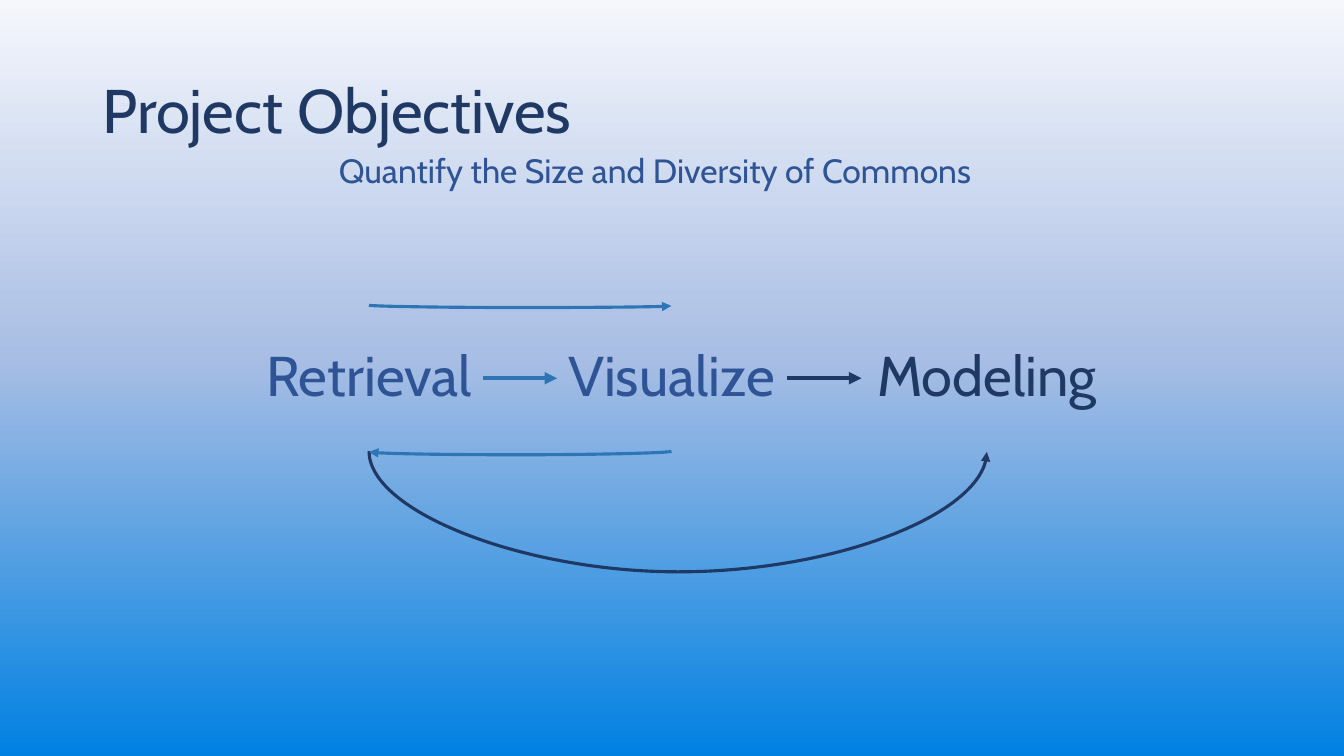
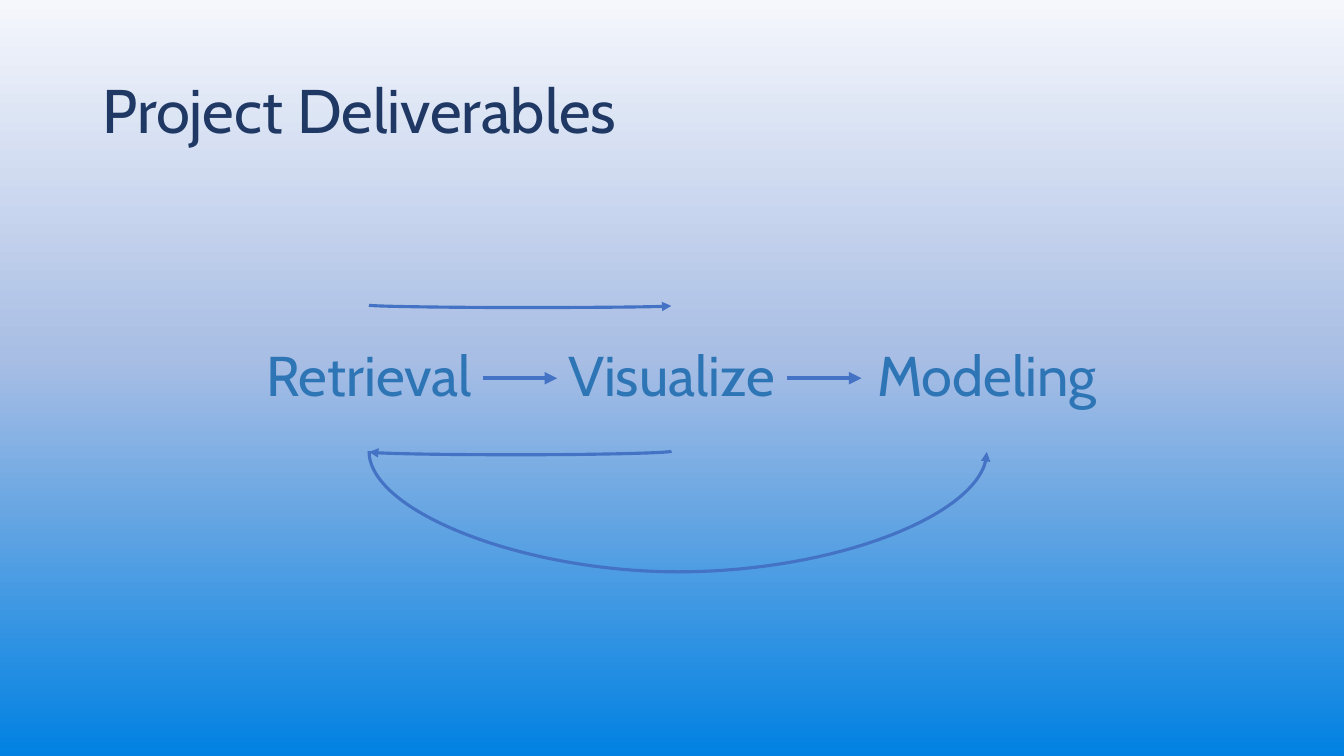
import copy

import pptx
import pptx.dml.color
import pptx.enum.shapes
import pptx.enum.text
import pptx.oxml
import pptx.oxml.ns
import pptx.util

Cm = pptx.util.Cm
RGBColor = pptx.dml.color.RGBColor
ALIGN = pptx.enum.text.PP_ALIGN
CONNECTOR = pptx.enum.shapes.MSO_CONNECTOR
qn = pptx.oxml.ns.qn

FONT = "Cabin"
NAVY = RGBColor(0x1F, 0x38, 0x64)
INDIGO = RGBColor(0x2F, 0x54, 0x96)
BLUE = RGBColor(0x2E, 0x75, 0xB6)
ROYAL = RGBColor(0x44, 0x72, 0xC4)
BACKGROUND_STOPS = [
    (0, RGBColor(0xF5, 0xF7, 0xFC)),
    (0.47, RGBColor(0xA9, 0xBE, 0xE4)),
    (1, RGBColor(0x00, 0x81, 0xE2)),
]

SLIDE_WIDTH, SLIDE_HEIGHT = Cm(33.87), Cm(19.05)
BOX_HEIGHT = Cm(3.68)
STEP_WIDTH = Cm(7.62)
STEPS = [("Retrieval", Cm(0)), ("Visualize", Cm(7.62)), ("Modeling", Cm(15.57))]
ARROW_LENGTH = Cm(1.87)
ARROW_LEFTS = [Cm(6.68), Cm(14.35)]
BOW_DROP = Cm(0.02)


def set_background(master):
    """Give every slide the vertical three-colour gradient."""
    fill = master.background.fill
    fill.gradient()
    fill.gradient_angle = 270
    stop_list = master.element.find(".//" + qn("a:gsLst"))
    stop_list.append(copy.deepcopy(stop_list[-1]))
    for stop, (position, color) in zip(fill.gradient_stops, BACKGROUND_STOPS):
        stop.position = position
        stop.color.rgb = color


def add_text(slide, text, left, top, width, size, color, align=ALIGN.CENTER):
    shape = slide.shapes.add_textbox(left, top, width, BOX_HEIGHT)
    frame = shape.text_frame
    frame.word_wrap = True
    frame.vertical_anchor = pptx.enum.text.MSO_ANCHOR.MIDDLE
    frame.text = text
    paragraph = frame.paragraphs[0]
    paragraph.alignment = align
    paragraph.line_spacing = 0.9
    font = paragraph.runs[0].font
    font.name, font.size, font.color.rgb = FONT, pptx.util.Pt(size), color


def style_arrow(connector, color, weight):
    connector.line.color.rgb = color
    connector.line.width = pptx.util.Pt(weight)
    line = connector.line._get_or_add_ln()
    line.append(pptx.oxml.parse_xml(
        f'<a:tailEnd {pptx.oxml.ns.nsdecls("a")} type="triangle"/>'))
    properties = connector.element.spPr
    properties.append(properties.makeelement(qn("a:effectLst"), {}))


def add_bow(slide, start, end, top, depth, color):
    """Draw an arrow that sags by depth between two points of one height."""
    span = abs(end - start)
    left = (start + end - BOW_DROP) // 2
    upper = top + (BOW_DROP - span) // 2
    connector = slide.shapes.add_connector(
        CONNECTOR.CURVE, left, upper, left + BOW_DROP, upper + span)
    # The curve runs downwards by default, so it is turned on its side
    frame = connector.element.spPr.find(qn("a:xfrm"))
    rightward = end > start
    frame.set("rot", str((270 if rightward else 90) * 60000))
    if rightward:
        frame.set("flipH", "1")
    guides = connector.element.spPr.find(qn("a:prstGeom")).get_or_add_avLst()
    ratio = round(depth / BOW_DROP * 100000)
    guides.append(guides.makeelement(
        qn("a:gd"), {"name": "adj1", "fmla": f"val {ratio}"}))
    style_arrow(connector, color, 2.25)


def add_process(slide, left, top, word_colors, loop_color, final_color):
    """Place the three steps, the arrows between them and the bows."""
    bottom = top + BOX_HEIGHT
    first, second, third = (left + x + STEP_WIDTH // 2 for _, x in STEPS)
    add_bow(slide, first, third, bottom, Cm(3.04), final_color)
    add_bow(slide, first, second, top, Cm(0.06), loop_color)
    add_bow(slide, second, first, bottom, Cm(0.09), loop_color)
    for (word, x), color in zip(STEPS, word_colors):
        add_text(slide, word, left + x, top, STEP_WIDTH, 40, color)
    middle = top + BOX_HEIGHT // 2
    for x, color in zip(ARROW_LEFTS, (loop_color, final_color)):
        connector = slide.shapes.add_connector(
            CONNECTOR.STRAIGHT, left + x, middle, left + x + ARROW_LENGTH, middle)
        style_arrow(connector, color, 3)


def add_process_slide(presentation, title, word_colors, loop_color, final_color):
    slide = presentation.slides.add_slide(presentation.slide_layouts[6])
    add_text(slide, title, Cm(2.33), Cm(1.01), Cm(29.21), 44, NAVY, ALIGN.LEFT)
    add_process(slide, Cm(5.49), Cm(7.69), word_colors, loop_color, final_color)
    return slide


def main():
    presentation = pptx.Presentation()
    presentation.slide_width = SLIDE_WIDTH
    presentation.slide_height = SLIDE_HEIGHT
    set_background(presentation.slide_master)

    # Objectives, with a subtitle
    slide = add_process_slide(
        presentation, "Project Objectives", [INDIGO, INDIGO, NAVY], BLUE, NAVY)
    add_text(slide, "Quantify the Size and Diversity of Commons",
             Cm(-0.43), Cm(2.52), SLIDE_WIDTH, 24, INDIGO)

    # Deliverables
    add_process_slide(
        presentation, "Project Deliverables", [BLUE] * 3, ROYAL, ROYAL)
    presentation.save("out.pptx")


if __name__ == "__main__":
    main()
